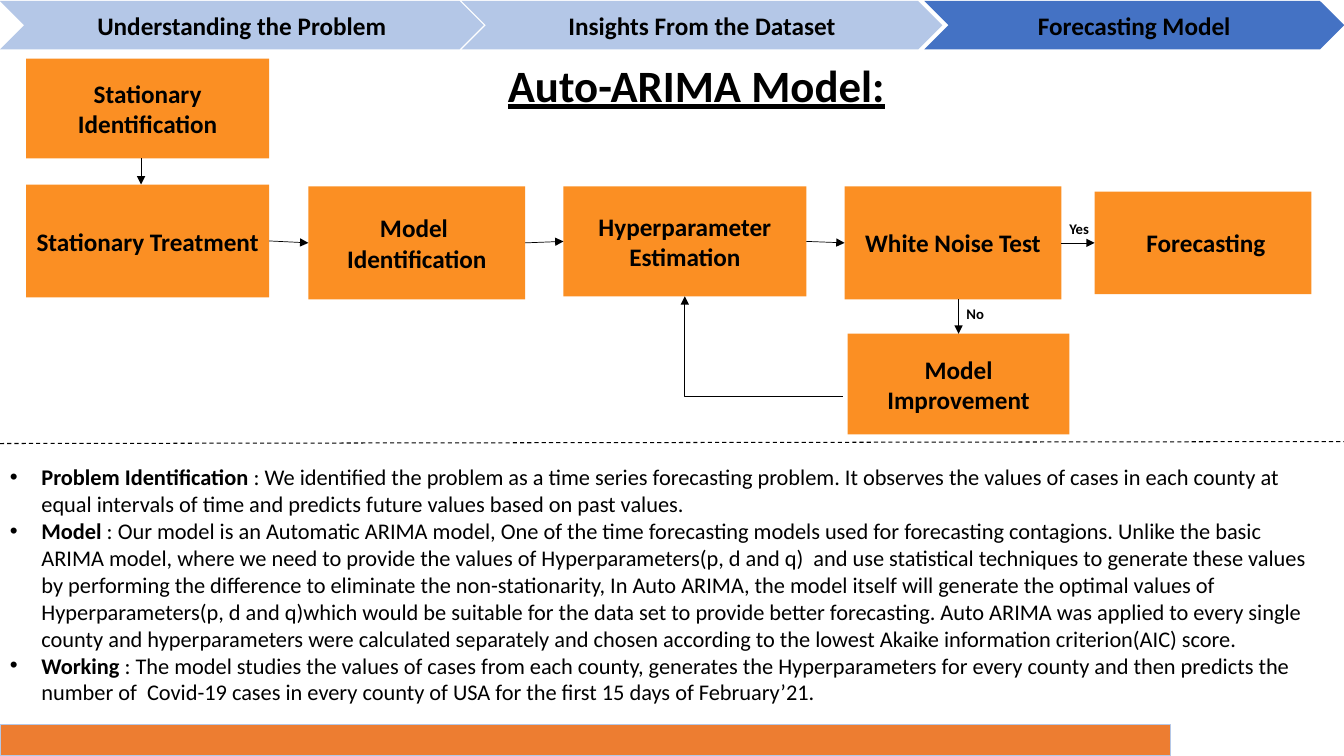
from itertools import pairwise

from lxml.etree import SubElement as Sub
from pptx import Presentation
from pptx.dml.color import RGBColor
from pptx.enum.dml import MSO_LINE as Dash
from pptx.enum.shapes import MSO_CONNECTOR as Link, MSO_SHAPE as Kind
from pptx.enum.text import MSO_ANCHOR as Anchor, PP_ALIGN as Align
from pptx.oxml.ns import qn
from pptx.util import Pt

STEPS = {
    "ident": ("Stationary Identification", 0, 0, 173.5, 71.3),
    "treat": ("Stationary Treatment", 0, 90, 173.5, 80.6),
    "model": ("Model \nIdentification", 201.6, 91.4, 154.8, 80.6),
    "hyper": ("Hyperparameter\nEstimation", 383.8, 91.4, 173.5, 78.5),
    "noise": ("White Noise Test", 584.6, 91.4, 154.8, 80.6),
    "cast": (" Forecasting", 763.2, 95, 154.8, 73.4),
    "better": ("Model Improvement", 586.8, 196.6, 158.4, 72),
}
NOTES = [
    ("Problem Identification ",
     ": We identified the problem as a time series forecasting problem. It observes the values of "
     "cases in each county at equal intervals of time and predicts future values based on past values."),
    ("Model",
     " : Our model is an Automatic ARIMA model, One of the time forecasting models used for "
     "forecasting contagions. Unlike the basic ARIMA model, where we need to provide the values of "
     "Hyperparameters(p, d and q)  and use statistical techniques to generate these values by "
     "performing the difference to eliminate the non-stationarity, In Auto ARIMA, the model itself "
     "will generate the optimal values of Hyperparameters(p, d and q)which would be suitable for the "
     "data set to provide better forecasting. Auto ARIMA was applied to every single county and "
     "hyperparameters were calculated separately and chosen according to the lowest Akaike "
     "information criterion(AIC) score."),
    ("Working",
     " : The model studies the values of cases from each county, generates the Hyperparameters for "
     "every county and then predicts the number of  Covid-19 cases in every county of USA for the "
     "first 15 days of February’21."),
]


def shade(text):
    """Turn a hex string into a colour."""
    return RGBColor.from_string(text)


def style(run, size, bold=True):
    """Format one run."""
    font = run.font
    font.name, font.size, font.bold = "Calibri", Pt(size), bold
    font.color.rgb = shade("000000")


def block(slide, kind, box, fill, text=""):
    """Add a filled shape with centred bold text."""
    shape = slide.shapes.add_shape(kind, *map(Pt, box))
    shape.shadow.inherit = False
    shape.fill.solid()
    shape.fill.fore_color.rgb = shade(fill)
    shape.line.fill.background()
    frame = shape.text_frame
    frame.text, frame.word_wrap = text, True
    frame.vertical_anchor = Anchor.MIDDLE
    for para in frame.paragraphs:
        para.alignment = Align.CENTER
        for run in para.runs:
            style(run, 18)
    return shape


def label(slide, box, text, size):
    """Add a bold text box and return its run."""
    frame = slide.shapes.add_textbox(*map(Pt, box)).text_frame
    frame.word_wrap, frame.text = True, text
    run = frame.paragraphs[0].runs[0]
    style(run, size)
    return run


def wire(slide, start, end, width=0.5, head=True, kind=Link.STRAIGHT):
    """Add a black line, with an arrowhead if asked."""
    line = slide.shapes.add_connector(kind, *map(Pt, (*start, *end)))
    line.line.width = Pt(width)
    line.line.color.rgb = shade("000000")
    if head:
        Sub(line.line._get_or_add_ln(), qn("a:tailEnd"), type="triangle")
    Sub(line._element.spPr, qn("a:effectLst"))
    return line


def ribbon(slide, left, top, high):
    """Draw the chevrons that show the stage of the talk."""
    pale = "B4C7E7"
    for text, x, wide, fill in (
        ("Understanding the Problem", 0, 345.6, pale),
        ("Insights From the Dataset", 329.8, 343.4, pale),
        ("Forecasting Model", 660.2, 300, "4472C4"),
    ):
        block(slide, Kind.CHEVRON, (left + x, top, wide, high), fill, text)


def flow(slide, left, top):
    """Draw the steps of the model and the arrows between them."""
    def at(x, y):
        return left + x, top + y

    step = {
        key: block(slide, Kind.RECTANGLE, (*at(x, y), wide, high), "FB8F23", text)
        for key, (text, x, y, wide, high) in STEPS.items()
    }
    for one, two in pairwise(("treat", "model", "hyper", "noise", "cast")):
        line = wire(slide, (left, top), (left, top))
        line.begin_connect(step[one], 3)
        line.end_connect(step[two], 1)
    wire(slide, at(82.1, 71.3), at(82.1, 90))
    wire(slide, at(666, 172), at(666, 196.6)).end_connect(step["better"], 0)
    loop = wire(slide, at(583.2, 241.2), at(470.5, 169.9), kind=Link.ELBOW)
    loop._element.spPr.find(qn("a:prstGeom")).set("prst", "bentConnector2")
    label(slide, (*at(738, 111.6), 41, 20), "Yes", 10.5)
    label(slide, (*at(664.6, 172.1), 91.4, 20), "No", 10.5)


def notes(slide, box):
    """Write the bulleted notes."""
    frame = slide.shapes.add_textbox(*map(Pt, box)).text_frame
    frame.word_wrap = True
    for num, parts in enumerate(NOTES):
        para = frame.add_paragraph() if num else frame.paragraphs[0]
        for text, bold in zip(parts, (True, False)):
            run = para.add_run()
            run.text = text
            style(run, 16, bold)
        props = para._p.get_or_add_pPr()
        props.set("marL", str(Pt(22.5)))
        props.set("indent", str(-Pt(22.5)))
        Sub(props, qn("a:buFont"), typeface="Arial")
        Sub(props, qn("a:buChar"), char="•")


def main():
    """Build and save the slide."""
    deck = Presentation()
    deck.slide_width, deck.slide_height = Pt(960), Pt(540)
    slide = deck.slides.add_slide(deck.slide_layouts[6])
    foot = block(slide, Kind.RECTANGLE, (0, 517.7, 835.9, 22.3), "ED7D31")
    foot.line.color.rgb = shade("B4C7E7")
    foot.line.width = Pt(1)
    ribbon(slide, 0, 0.7, 34.6)
    flow(slide, 18.7, 41.8)
    label(slide, (355.7, 37.4, 349.2, 46.1), "Auto-ARIMA Model:", 32).font.underline = True
    rule = wire(slide, (0, 316.8), (960, 315.4), 0.75, False)
    rule.line.dash_style = Dash.DASH
    notes(slide, (0, 327.6, 951.1, 200.9))
    deck.save("out.pptx")


if __name__ == "__main__":
    main()
